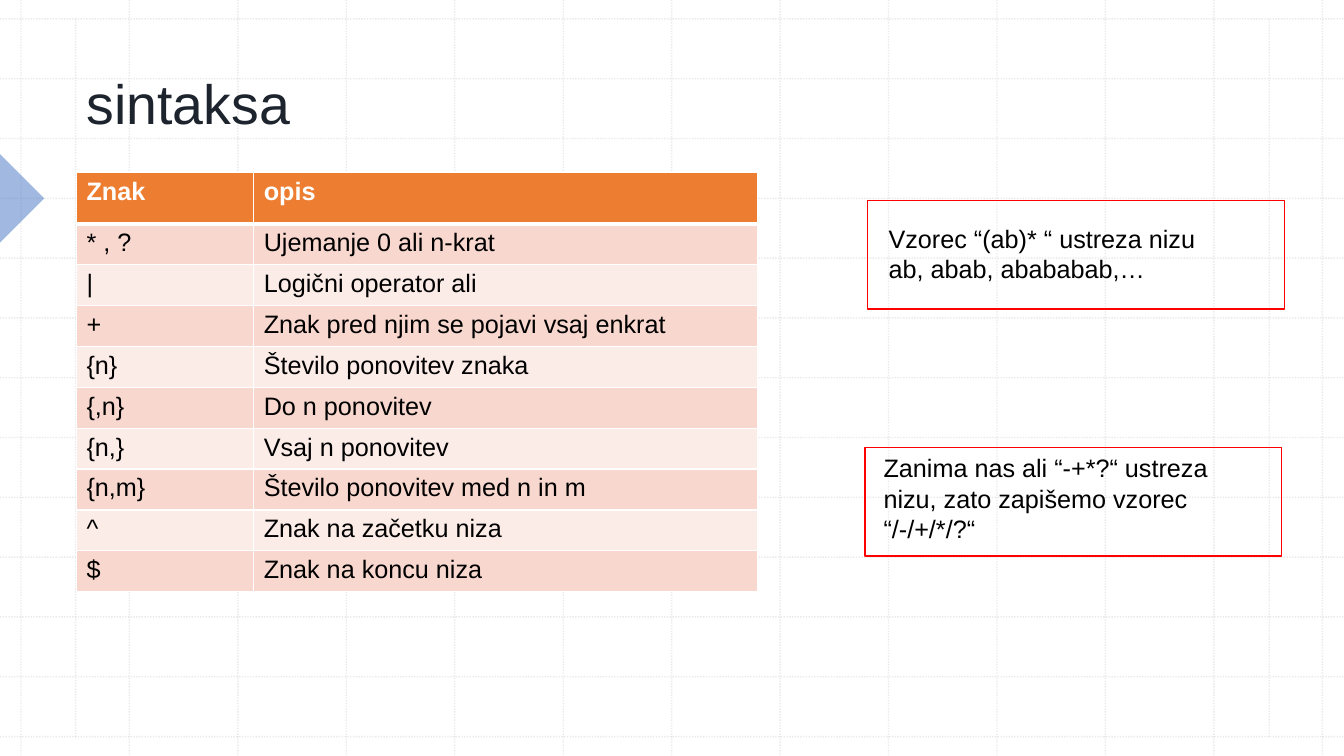
"""Builds the slide on regular-expression syntax on a grid of 160 columns by 90 rows."""
import pptx
import pptx.dml.color
import pptx.enum.dml
import pptx.enum.shapes
import pptx.enum.text
import pptx.oxml
import pptx.oxml.ns
import pptx.util

COLUMNS, ROWS = 160, 90


def color(hex_string):
    return pptx.dml.color.RGBColor.from_string(hex_string)


def element(xml):
    return pptx.oxml.parse_xml(xml.replace(">", f" {pptx.oxml.ns.nsdecls('a')}>", 1))


class SlideBuilder:
    font, size = "Arial", 18
    ink, red, white = "000000", "FF0000", "FFFFFF"

    def __init__(self, presentation):
        self.width, self.height = presentation.slide_width, presentation.slide_height
        self.slide = presentation.slides.add_slide(presentation.slide_layouts[5])
        self.shapes = self.slide.shapes

    def x(self, columns):
        return round(self.width * columns / COLUMNS)

    def y(self, rows):
        return round(self.height * rows / ROWS)

    def box(self, left, top, width, height):
        return self.x(left), self.y(top), self.x(width), self.y(height)

    def set_text(self, frame, paragraphs, size=size, ink=ink, bold=False):
        frame.text = "\n".join(paragraphs)
        frame.word_wrap = True
        for paragraph in frame.paragraphs:
            paragraph.alignment = pptx.enum.text.PP_ALIGN.LEFT
            font = paragraph.font
            font.name, font.size, font.bold = self.font, pptx.util.Pt(size), bold
            font.color.rgb = color(ink)

    def fade(self, fill, percent):
        fill_color = fill._xPr.find(".//" + pptx.oxml.ns.qn("a:srgbClr"))
        fill_color.append(element(f'<a:alpha val="{percent * 1000}"></a:alpha>'))

    def grid_line(self, left, top, right, bottom):
        connector = self.shapes.add_connector(
            pptx.enum.shapes.MSO_CONNECTOR.STRAIGHT,
            self.x(left), self.y(top), self.x(right), self.y(bottom))
        connector.line.width = pptx.util.Pt(1)
        connector.line.color.rgb = color("BCBCBC")
        connector.line.dash_style = pptx.enum.dml.MSO_LINE.ROUND_DOT
        self.fade(connector.line.fill, 30)
        connector._element.spPr.append(element("<a:effectLst></a:effectLst>"))

    def pointer(self, *place):
        triangle = self.shapes.add_shape(
            pptx.enum.shapes.MSO_SHAPE.RIGHT_TRIANGLE, *self.box(*place))
        triangle.rotation = 225
        triangle.shadow.inherit = False
        triangle.fill.solid()
        triangle.fill.fore_color.rgb = color("4472C4")
        self.fade(triangle.fill, 50)
        triangle.line.fill.background()

    def title(self, text, *place):
        title = self.shapes.title
        title.left, title.top, title.width, title.height = self.box(*place)
        self.set_text(title.text_frame, [text], 39.6, "1D242E")
        title.text_frame.auto_size = pptx.enum.text.MSO_AUTO_SIZE.NONE
        title.text_frame.vertical_anchor = pptx.enum.text.MSO_ANCHOR.BOTTOM
        self.shapes._spTree.append(title._element)

    def frame(self, *place):
        frame = self.shapes.add_shape(
            pptx.enum.shapes.MSO_SHAPE.RECTANGLE, *self.box(*place))
        frame.shadow.inherit = False
        frame.fill.background()
        frame.line.color.rgb = color(self.red)
        frame.line.width = pptx.util.Pt(1)

    def text(self, paragraphs, *place):
        self.set_text(self.shapes.add_textbox(*self.box(*place)).text_frame, paragraphs)

    def borders(self, cell, bottom):
        properties = cell._tc.get_or_add_tcPr()
        for index, (side, points) in enumerate(
                {"L": 1, "R": 1, "T": 1, "B": bottom}.items()):
            properties.insert(index, element(
                f'<a:ln{side} w="{pptx.util.Pt(points)}"><a:solidFill>'
                f'<a:srgbClr val="{self.white}"/></a:solidFill></a:ln{side}>'))

    def table(self, rows, left, top, widths, header_height, row_height):
        height = header_height + row_height * (len(rows) - 1)
        table = self.shapes.add_table(
            len(rows), len(widths), *self.box(left, top, sum(widths), height)).table
        for column, width in zip(table.columns, widths):
            column.width = self.x(width)
        for index, (row, values) in enumerate(zip(table.rows, rows)):
            header = index == 0
            row.height = self.y(header_height if header else row_height)
            band = "ED7D31" if header else ("FCECE8", "F8D7CE")[index % 2]
            for cell, value in zip(row.cells, values):
                self.set_text(cell.text_frame, [value],
                              ink=self.white if header else self.ink, bold=header)
                cell.fill.solid()
                cell.fill.fore_color.rgb = color(band)
                self.borders(cell, 3 if header else 1)


SYNTAX = [
    ("Znak", "opis"),
    ("* , ?", "Ujemanje 0 ali n-krat"),
    ("| ", "Logični operator ali"),
    ("+", "Znak pred njim se pojavi vsaj enkrat"),
    ("{n}", "Število ponovitev znaka"),
    ("{,n}", "Do n ponovitev"),
    ("{n,}", "Vsaj n ponovitev"),
    ("{n,m}", "Število ponovitev med n in m"),
    ("^", "Znak na začetku niza"),
    ("$", "Znak na koncu niza"),
]

presentation = pptx.Presentation()
presentation.slide_width = pptx.util.Inches(13.33)
presentation.slide_height = pptx.util.Inches(7.5)
builder = SlideBuilder(presentation)

for step in range(13):
    column, row = 2.5 + 12.91 * step, 2.25 + 7.12 * step
    builder.grid_line(column, 0, column, ROWS)
    builder.grid_line(0, row, COLUMNS, row)
for margin in (9, COLUMNS - 8.9):
    builder.grid_line(margin, 2.25, margin, ROWS - 2.25)

builder.pointer(-3.72, 19.9, 7.44, 7.44)
builder.table(SYNTAX, 9.1, 20.5, (21.1, 60), 6.15, 4.87)
builder.title("sintaksa", 9.1, 6.7, 135.5, 10)
builder.text(["Vzorec “(ab)* “ ustreza nizu ", "ab, abab, abababab,…"],
             104.6, 26, 46.3, 8.5)
builder.frame(103.3, 23.9, 49.6, 12.9)
builder.text(["Zanima nas ali “-+*?“ ustreza nizu, zato zapišemo vzorec", "“/-/+/*/?“ "],
             104, 53.3, 48.1, 15.7)
builder.frame(103, 53.3, 49.6, 12.9)

presentation.save("out.pptx")
